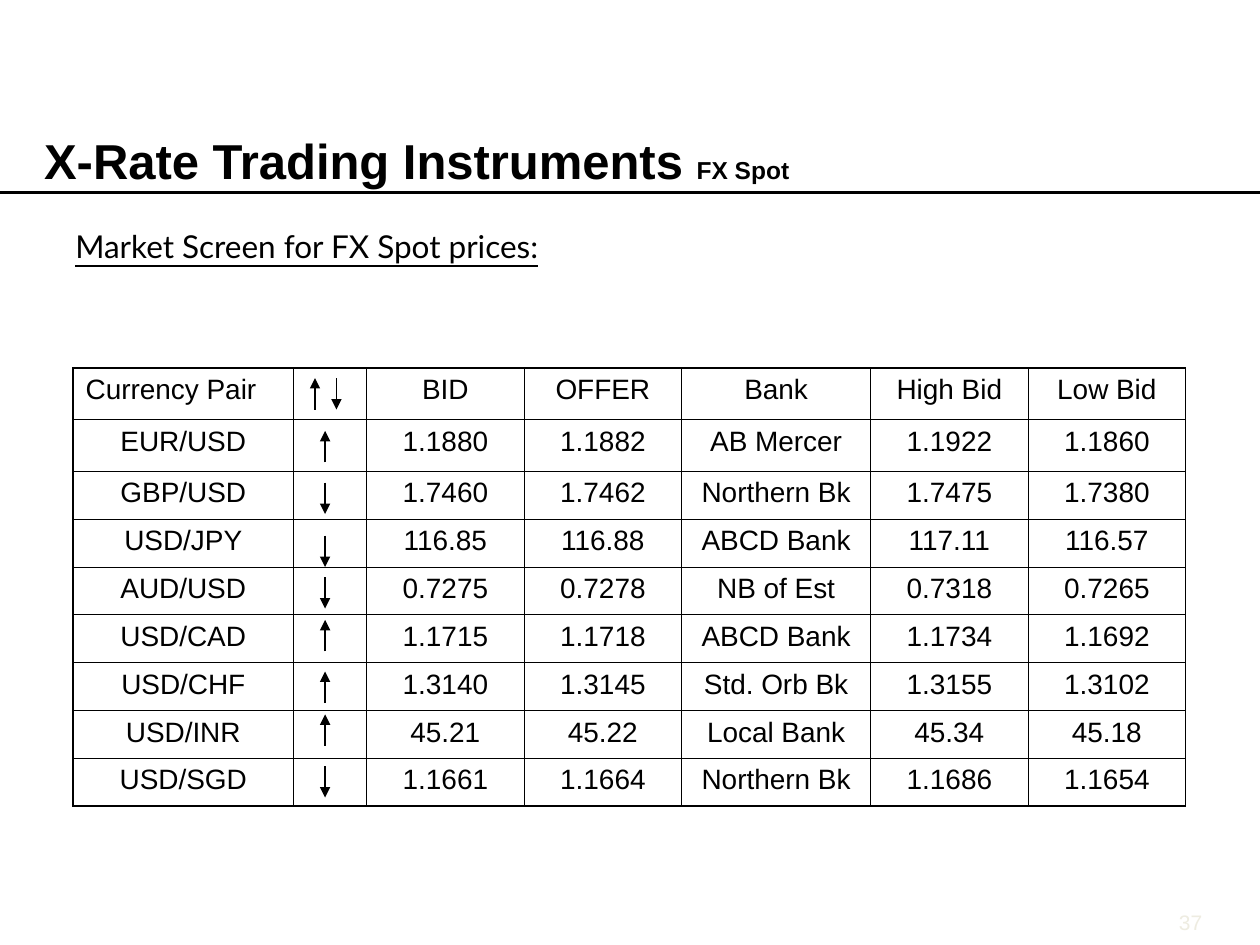
from pptx import Presentation
from pptx.dml.color import RGBColor
from pptx.enum.shapes import MSO_CONNECTOR
from pptx.enum.text import MSO_ANCHOR, PP_ALIGN
from pptx.oxml.ns import qn
from pptx.util import Inches, Pt
from lxml import etree

BLACK = RGBColor(0, 0, 0)
PALE = RGBColor(0xEE, 0xEC, 0xE1)
LINE = MSO_CONNECTOR.STRAIGHT
LEFT, MID, RIGHT = PP_ALIGN.LEFT, PP_ALIGN.CENTER, PP_ALIGN.RIGHT
BASE = MSO_ANCHOR.BOTTOM
THIN, THICK = 0.45, 1.08
WIDTHS = [1.75, 0.58, 1.25, 1.25, 1.5, 1.25, 1.25]
HEIGHTS = [0.41] * 2 + [0.38] * 7
RATES = [
    ["Currency Pair", "", "BID", "OFFER", "Bank", "High Bid", "Low Bid"],
    ["EUR/USD", "", "1.1880", "1.1882", "AB Mercer", "1.1922", "1.1860"],
    ["GBP/USD", "", "1.7460", "1.7462", "Northern Bk", "1.7475", "1.7380"],
    ["USD/JPY", "", "116.85", "116.88", "ABCD Bank", "117.11", "116.57"],
    ["AUD/USD", "", "0.7275", "0.7278", "NB of Est", "0.7318", "0.7265"],
    ["USD/CAD", "", "1.1715", "1.1718", "ABCD Bank", "1.1734", "1.1692"],
    ["USD/CHF", "", "1.3140", "1.3145", "Std. Orb Bk", "1.3155", "1.3102"],
    ["USD/INR", "", "45.21", "45.22", "Local Bank", "45.34", "45.18"],
    ["USD/SGD", "", "1.1661", "1.1664", "Northern Bk", "1.1686", "1.1654"],
]
MOVES = [
    (2.5, 3, "up"), (2.67, 3, "down"), (2.58, 3.42, "up"),
    (2.58, 3.83, "down"), (2.58, 4.25, "down"), (2.58, 4.58, "down"),
    (2.58, 4.92, "up"), (2.58, 5.33, "up"), (2.58, 5.67, "up"),
    (2.58, 6.08, "down"),
]


def style(font, name, size, color=BLACK):
    """Set the face, size and colour of a font."""
    font.name, font.size = name, Pt(size)
    font.color.rgb = color


def draw_line(slide, start, end, width, arrow=False):
    """Draw a straight black line, with an arrowhead at its end if asked."""
    line = slide.shapes.add_connector(LINE, *map(Inches, start + end))
    line.line.color.rgb = BLACK
    line.line.width = Pt(width)
    props = line._element.spPr
    if arrow:
        tail = etree.SubElement(props.find(qn("a:ln")), qn("a:tailEnd"))
        tail.set("type", "triangle")
    etree.SubElement(props, qn("a:effectLst"))


def add_title(slide, x, y, w, h):
    """Fill the title placeholder and rule it off below."""
    title = slide.shapes.title
    title.left, title.top, title.width, title.height = map(Inches, (x, y, w, h))
    frame = title.text_frame
    frame.margin_left = frame.margin_right = 0
    frame.margin_top = frame.margin_bottom = 0
    frame.vertical_anchor = BASE
    para = frame.paragraphs[0]
    para.alignment = LEFT
    for text, size in (("X-Rate Trading Instruments ", 28), ("FX Spot", 14)):
        run = para.add_run()
        run.text = text
        style(run.font, "Arial", size)
        run.font.bold = True
    draw_line(slide, (0, 1.53), (10, 1.53), 1.5)


def add_text(slide, box, text, name, size, color=BLACK, align=LEFT):
    """Place one line of text and return its paragraph."""
    frame = slide.shapes.add_textbox(*map(Inches, box)).text_frame
    frame.word_wrap = True
    para = frame.paragraphs[0]
    para.text = text
    para.alignment = align
    style(para.font, name, size, color)
    return para


def add_edges(cell, sides):
    """Draw the four borders of a cell from a map of side to width."""
    props = cell._tc.get_or_add_tcPr()
    for side, width in sides.items():
        edge = etree.SubElement(props, qn("a:ln" + side), w=str(Pt(width)))
        fill = etree.SubElement(edge, qn("a:solidFill"))
        etree.SubElement(fill, qn("a:srgbClr"), val=str(BLACK))


def add_rates(slide, x, y):
    """Build the price table, its heavier outer edge and its arrows."""
    rows, cols = len(HEIGHTS), len(WIDTHS)
    size = (sum(WIDTHS), sum(HEIGHTS))
    table = slide.shapes.add_table(rows, cols, *map(Inches, (x, y) + size)).table
    table.first_row = table.horz_banding = False
    for col, width in zip(table.columns, WIDTHS):
        col.width = Inches(width)
    for r, (row, height) in enumerate(zip(table.rows, HEIGHTS)):
        row.height = Inches(height)
        for c, cell in enumerate(row.cells):
            add_edges(cell, {
                "L": THICK if c == 0 else THIN,
                "R": THICK if c == cols - 1 else THIN,
                "T": THICK if r == 0 else THIN,
                "B": THICK if r == rows - 1 else THIN,
            })
            cell.fill.background()
            if not RATES[r][c]:
                cell.margin_top = cell.margin_bottom = 0
                continue
            para = cell.text_frame.paragraphs[0]
            para.text = RATES[r][c]
            para.alignment = LEFT if r == c == 0 else MID
            style(para.font, "Arial", 16)
    for left, top, way in MOVES:
        ends = [(left, top), (left, top + 0.25)]
        if way == "up":
            ends.reverse()
        draw_line(slide, *ends, 0.75, arrow=True)


def main():
    """Build and save the slide."""
    deck = Presentation()
    deck.slide_width, deck.slide_height = Inches(10), Inches(7.5)
    slide = deck.slides.add_slide(deck.slide_layouts[5])
    add_title(slide, 0.35, 1.03, 9.3, 0.47)
    lead = add_text(slide, (0.5, 1.75, 9, 0.5),
                    "Market Screen for FX Spot prices:", "Lato", 18)
    lead.font.underline = True
    add_rates(slide, 0.58, 2.92)
    add_text(slide, (8.64, 7.17, 1, 0.3), "37", "Arial", 12, PALE, RIGHT)
    deck.save("out.pptx")


if __name__ == "__main__":
    main()
